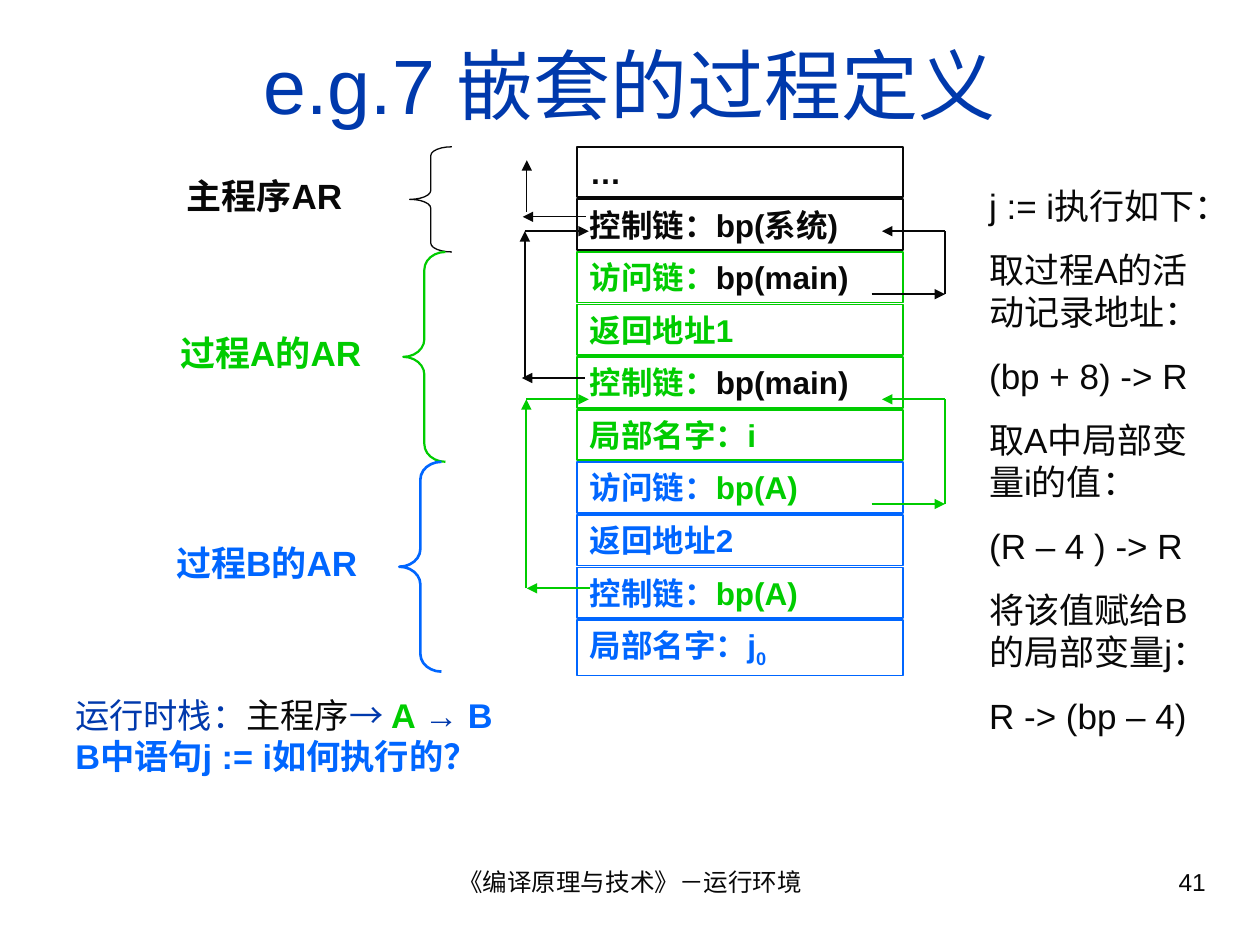
import collections
import pptx
import pptx.dml.color
import pptx.enum.shapes
import pptx.enum.text
import pptx.oxml.ns
import pptx.util
import lxml.etree

Cm, Pt = pptx.util.Cm, pptx.util.Pt
ALIGN = pptx.enum.text.PP_ALIGN
ANCHOR = pptx.enum.text.MSO_ANCHOR
SHAPE = pptx.enum.shapes.MSO_SHAPE
INK = pptx.dml.color.RGBColor(0x08, 0x08, 0x08)
GREEN = pptx.dml.color.RGBColor(0x00, 0xCC, 0x00)
BLUE = pptx.dml.color.RGBColor(0x00, 0x66, 0xFF)
NAVY = pptx.dml.color.RGBColor(0x00, 0x39, 0xAC)

Box = collections.namedtuple("Box", "left top width height")
Piece = collections.namedtuple("Piece", "text color bold baseline", defaults=(INK, False, 0))

ROW_PITCH, ROW_HEIGHT, LAST_ROW_HEIGHT = 1.06, 1.02, 1.12
STACK_ROWS = [
    (INK, [Piece("…", INK, True)]),
    (INK, [Piece("控制链：bp(系统)", INK, True)]),
    (GREEN, [Piece("访问链：", GREEN, True), Piece("bp(main)", INK, True)]),
    (GREEN, [Piece("返回地址1", GREEN, True)]),
    (GREEN, [Piece("控制链：", GREEN, True), Piece("bp(main)", INK, True)]),
    (GREEN, [Piece("局部名字：i", GREEN, True)]),
    (BLUE, [Piece("访问链：", BLUE, True), Piece("bp(A)", GREEN, True)]),
    (BLUE, [Piece("返回地址2", BLUE, True)]),
    (BLUE, [Piece("控制链：", BLUE, True), Piece("bp(A)", GREEN, True)]),
    (BLUE, [Piece("局部名字：j", BLUE, True), Piece("0", BLUE, True, -25000)]),
]
RUN_STACK = [
    [Piece("运行时栈：", NAVY), Piece("主程序"), Piece("→ ", NAVY),
     Piece("A ", GREEN, True), Piece("→ ", NAVY), Piece("B", BLUE, True)],
    [Piece("B中语句j := i如何执行的？", BLUE, True)],
]
STEPS = [
    "j := i执行如下：", "取过程A的活动记录地址：", "(bp + 8) -> R",
    "取A中局部变量i的值：", "(R – 4 ) -> R", "将该值赋给B的局部变量j：", "R -> (bp – 4)",
]


def to_cm(box):
    """Turn a box of centimetre numbers into lengths."""
    return [Cm(value) for value in box]


def write(frame, paragraphs, size, align=ALIGN.LEFT, anchor=ANCHOR.TOP, gap=0):
    """Fill a text frame with paragraphs made of coloured pieces."""
    frame.word_wrap = True
    frame.auto_size = pptx.enum.text.MSO_AUTO_SIZE.NONE
    frame.vertical_anchor = anchor
    for index, pieces in enumerate(paragraphs):
        paragraph = frame.add_paragraph() if index else frame.paragraphs[0]
        paragraph.alignment = align
        paragraph.space_before = Pt(gap if index else 0)
        for piece in pieces:
            run = paragraph.add_run()
            run.text = piece.text
            run.font.name = "Arial"
            run.font.size = Pt(size)
            run.font.bold = piece.bold
            run.font.color.rgb = piece.color
            if piece.baseline:
                run.font._element.set("baseline", str(piece.baseline))


def add_text(slide, box, paragraphs, size, **layout):
    """Place a text box and fill it."""
    write(slide.shapes.add_textbox(*to_cm(box)).text_frame, paragraphs, size, **layout)


def add_outline(slide, preset, box, color, weight):
    """Draw an unfilled preset shape."""
    outline = slide.shapes.add_shape(preset, *to_cm(box))
    outline.shadow.inherit = False
    outline.fill.background()
    outline.line.color.rgb = color
    outline.line.width = Pt(weight)
    return outline


def add_line(slide, start, end, color, weight, arrow=True):
    """Draw a straight line, with an arrowhead at its end if wanted."""
    line = slide.shapes.add_connector(
        pptx.enum.shapes.MSO_CONNECTOR.STRAIGHT, *to_cm(start + end))
    line.line.color.rgb = color
    line.line.width = Pt(weight)
    qn = pptx.oxml.ns.qn
    if arrow:
        lxml.etree.SubElement(line.line._get_or_add_ln(), qn("a:tailEnd"), type="triangle")
    lxml.etree.SubElement(line._element.spPr, qn("a:effectLst"))


def add_title(slide, box):
    """Move and format the title."""
    title = slide.shapes.title
    title.left, title.top, title.width, title.height = to_cm(box)
    write(title.text_frame, [[Piece("e.g.7 嵌套的过程定义", NAVY)]], 44,
          align=ALIGN.CENTER, anchor=ANCHOR.MIDDLE)


def add_stack(slide, box):
    """Stack the rows of the activation records; the last one fills the box."""
    for index, (color, pieces) in enumerate(STACK_ROWS):
        last = index == len(STACK_ROWS) - 1
        row = Box(box.left, box.top + index * ROW_PITCH, box.width,
                  LAST_ROW_HEIGHT if last else ROW_HEIGHT)
        cell = add_outline(slide, SHAPE.RECTANGLE, row, color, 1)
        write(cell.text_frame, [pieces], 18)


def add_record_label(slide, box, text, color, weight, bend):
    """Put a brace in the box and the record's name to its left."""
    brace = add_outline(slide, SHAPE.LEFT_BRACE, box, color, weight)
    brace.adjustments[0] = bend
    name = Box(box.left - 4.75, box.top + box.height / 2 - 0.63, 4.75, 1.12)
    add_text(slide, name, [[Piece(text, color, True)]], 20)


def add_control_link(slide, box, color, spine):
    """Lead from the lower right of the box, up its spine, to the upper right."""
    right, bottom = box.left + box.width, box.top + box.height
    add_line(slide, (right, bottom), (box.left, bottom), color, 1.25)
    add_line(slide, (spine, bottom), (spine, box.top), color, 1.25)
    add_line(slide, (spine, box.top), (11.87, box.top), color, 1.25)


def add_access_link(slide, box, color):
    """Lead from the lower left of the box, up its right side, to the upper left."""
    right, bottom = box.left + box.width, box.top + box.height
    add_line(slide, (box.left, bottom), (right, bottom), color, 1)
    add_line(slide, (right, bottom), (right, box.top), color, 1, arrow=False)
    add_line(slide, (right, box.top), (box.left + 0.21, box.top), color, 1)


def add_system_link(slide, box):
    """Lead out of the main record and up to the system."""
    bottom = box.top + box.height
    add_line(slide, (box.left + box.width, bottom), (box.left, bottom), INK, 0.75)
    add_line(slide, (box.left + 0.08, bottom - 0.1), (box.left + 0.08, box.top), INK, 0.75)


def add_footer(slide, box):
    """Write the course name in the middle and the page number at the right."""
    course = Box(box.left, box.top, 8.05, box.height)
    page = Box(box.left + box.width - 6.35, box.top, 6.35, box.height)
    add_text(slide, course, [[Piece("《编译原理与技术》－运行环境")]], 14, align=ALIGN.CENTER)
    add_text(slide, page, [[Piece("41")]], 14, align=ALIGN.RIGHT)


def main():
    """Build the slide and save it."""
    deck = pptx.Presentation()
    deck.slide_width, deck.slide_height = Cm(25.4), Cm(19.05)
    slide = deck.slides.add_slide(deck.slide_layouts[5])
    add_title(slide, Box(0.84, 0.64, 23.72, 2.1))
    add_stack(slide, Box(11.64, 2.96, 6.56, 10.66))
    add_control_link(slide, Box(10.62, 8.05, 1.27, 3.81), GREEN, 10.61)
    add_control_link(slide, Box(10.52, 4.66, 1.27, 2.96), INK, 10.58)
    add_system_link(slide, Box(10.54, 3.23, 1.27, 1.14))
    add_access_link(slide, Box(17.57, 8.05, 1.48, 2.11), GREEN)
    add_access_link(slide, Box(17.57, 4.66, 1.48, 1.27), INK)
    add_record_label(slide, Box(8.26, 2.96, 0.85, 2.12), "主程序AR", INK, 0.75, 0.21)
    add_record_label(slide, Box(8.13, 5.08, 0.85, 4.23), "过程A的AR", GREEN, 1.25, 0.42)
    add_record_label(slide, Box(8.05, 9.31, 0.85, 4.23), "过程B的AR", BLUE, 1.5, 0.42)
    add_text(slide, Box(1.27, 13.76, 23.72, 2.12), RUN_STACK, 19.6, anchor=ANCHOR.MIDDLE)
    add_text(slide, Box(19.69, 3.6, 5.08, 11.38), [[Piece(step)] for step in STEPS], 20, gap=12.5)
    add_footer(slide, Box(8.68, 17.36, 15.88, 1.32))
    deck.save("out.pptx")


if __name__ == "__main__":
    main()
